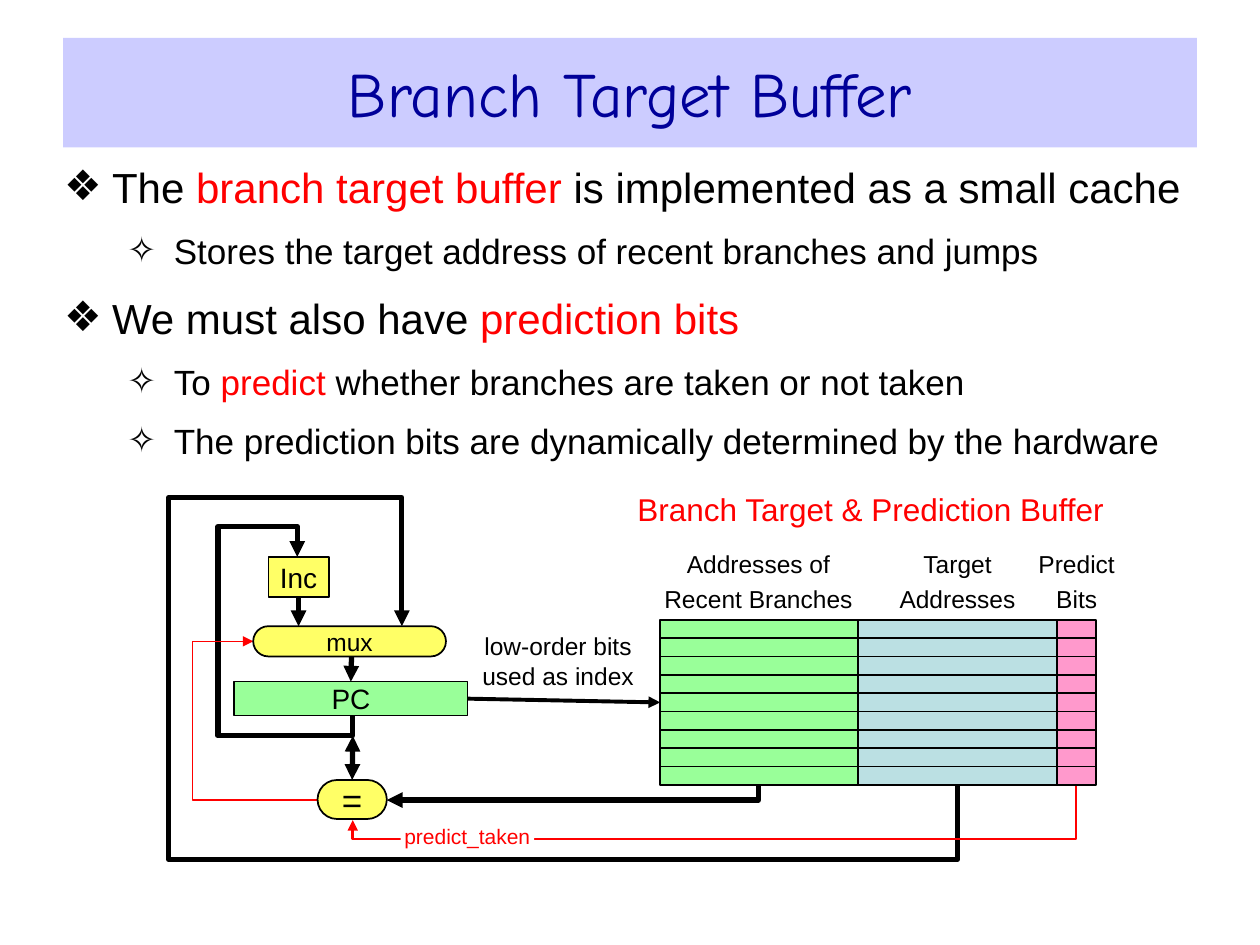
from itertools import accumulate
from lxml import etree
from pptx import Presentation
from pptx.dml.color import RGBColor
from pptx.enum.shapes import MSO_CONNECTOR, MSO_SHAPE
from pptx.enum.text import MSO_ANCHOR, MSO_AUTO_SIZE, PP_ALIGN
from pptx.oxml.ns import qn
from pptx.util import Inches, Pt

LINE = MSO_CONNECTOR.STRAIGHT
RECT, ROUND = MSO_SHAPE.RECTANGLE, MSO_SHAPE.ROUNDED_RECTANGLE
MIDDLE, TOP = MSO_ANCHOR.MIDDLE, MSO_ANCHOR.TOP
CENTER, LEFT = PP_ALIGN.CENTER, PP_ALIGN.LEFT
NO_FIT = MSO_AUTO_SIZE.NONE

THEME = {
    "font": "Arial", "head": "Comic Neue",
    "ink": "000000", "red": "FF0000", "navy": "000099", "band": "CCCCFF",
    "yellow": "FFFF66", "green": "99FF99", "blue": "BBE0E3",
    "pink": "FF99CC", "white": "FFFFFF",
    "title": 36, "part": 18, "label": 14, "note": 12,
}

# Content: list items are (level, [(text, colour), ...])
TITLE = "Branch Target Buffer"
ITEMS = [
    (0, [("The ", "ink"), ("branch target buffer", "red"),
         (" is implemented as a small cache", "ink")]),
    (1, [("Stores the target address of recent branches and jumps", "ink")]),
    (0, [("We must also have ", "ink"), ("prediction bits", "red")]),
    (1, [("To ", "ink"), ("predict ", "red"),
         ("whether branches are taken or not taken", "ink")]),
    (1, [("The prediction bits are dynamically determined by the hardware",
          "ink")]),
]
# Per level: left indent, hanging indent, space before, bullet, size
LEVELS = [(0.38, -0.38, 12, "❖", 24), (0.87, -0.37, 10, "✧", 20)]

# Blocks: text, preset, box, fill, size
BLOCKS = {
    "mux": ("mux", ROUND, (2.01, 4.97, 1.53, 0.24), "yellow", 14),
    "pc": ("PC", RECT, (1.86, 5.41, 1.85, 0.27), "green", 16),
    "inc": ("Inc", RECT, (2.13, 4.42, 0.48, 0.32), "yellow", 16),
    "equal": ("=", ROUND, (2.52, 6.19, 0.55, 0.31), "yellow", 20),
}
# Buffer columns: name, width, fill
COLUMNS = [("branch", 1.57, "green"), ("target", 1.58, "blue"),
           ("bits", 0.31, "pink")]
GRID_X, GRID_Y, GRID_H, ROWS = 5.24, 4.92, 1.31, 9

# Labels: lines, box, size, colour, line spacing
LABELS = [
    (["Branch Target & Prediction Buffer"], (4.96, 3.86, 3.9, 0.35),
     "part", "red", 1),
    (["Addresses of Recent Branches"], (5.24, 4.32, 1.56, 0.54),
     "label", "ink", 1.2),
    (["Target", "Addresses"], (6.85, 4.32, 1.5, 0.54), "label", "ink", 1.2),
    (["Predict", "Bits"], (8.19, 4.32, 0.71, 0.54), "label", "ink", 1.2),
    (["low-order bits used as index"], (3.78, 5.01, 1.3, 0.47),
     "label", "ink", 1),
]
# Bent arrows: points, colour, width
ROUTES = [
    ([(6.02, 6.19), (6.02, 6.35), (3.07, 6.35)], "ink", 3),
    ([(2.8, 5.68), (2.8, 5.84), (1.73, 5.84), (1.73, 4.18), (2.36, 4.18),
      (2.36, 4.42)], "ink", 3),
    ([(7.6, 6.23), (7.6, 6.82), (1.34, 6.82), (1.34, 3.95), (3.19, 3.95),
      (3.19, 4.97)], "ink", 3),
    ([(2.52, 6.35), (1.53, 6.35), (1.53, 5.09), (2.01, 5.09)], "red", 0.75),
    ([(8.54, 6.23), (8.54, 6.66), (2.8, 6.66), (2.8, 6.51)], "red", 1.5),
]
# Straight arrows: from, to, width, joined start, joined end, arrowheads
ARROWS = [
    ((2.79, 5.21), (2.79, 5.41), 3, None, ("pc", 0), ["tailEnd"]),
    ((2.37, 4.74), (2.37, 4.97), 3, ("inc", 2), None, ["tailEnd"]),
    ((3.71, 5.56), (5.24, 5.56), 2.25, ("pc", 3), ("branch", 1),
     ["tailEnd"]),
    ((2.8, 5.84), (2.8, 6.19), 3, None, ("equal", 0),
     ["headEnd", "tailEnd"]),
]


def rgb(name):
    return RGBColor.from_string(THEME[name])


def put(obj, vals):
    for key, val in vals.items():
        setattr(obj, key, val)


def place(shape, box):
    put(shape, dict(zip(("left", "top", "width", "height"),
                        map(Inches, box))))


def paint(shape, name):
    shape.fill.solid()
    shape.fill.fore_color.rgb = rgb(name)


def stroke(shape, name, width, ends=()):
    shape.line.color.rgb = rgb(name)
    shape.line.width = Pt(width)
    ln = shape.line._get_or_add_ln()
    for end in ends:
        etree.SubElement(ln, qn("a:" + end), type="triangle")


def frame(shape, anchor=MIDDLE, side=0, edge=0):
    text = shape.text_frame
    put(text, {"word_wrap": True, "auto_size": NO_FIT,
               "vertical_anchor": anchor,
               "margin_left": Inches(side), "margin_right": Inches(side),
               "margin_top": Inches(edge), "margin_bottom": Inches(edge)})
    return text


def add_run(para, text, size, color="ink", font="font"):
    run = para.add_run()
    run.text = text
    put(run.font, {"name": THEME[font], "size": Pt(size), "bold": False})
    run.font.color.rgb = rgb(color)


def write(shape, lines, size, color="ink", space=1):
    text = frame(shape)
    for i, line in enumerate(lines):
        para = text.add_paragraph() if i else text.paragraphs[0]
        put(para, {"alignment": CENTER, "line_spacing": space})
        add_run(para, line, size, color)


def add_box(shapes, kind, box, fill):
    shape = shapes.add_shape(kind, *map(Inches, box))
    shape.shadow.inherit = False
    if kind == ROUND:
        shape.adjustments[0] = 0.5
    paint(shape, fill)
    return shape


def add_line(shapes, start, end, width, ends=()):
    line = shapes.add_connector(LINE, *map(Inches, start + end))
    etree.SubElement(line._element.spPr, qn("a:effectLst"))
    stroke(line, "ink", width, ends)
    return line


def add_list(body):
    place(body, (0.51, 1.23, 8.98, 2.69))
    text = frame(body, TOP, 0, 0.05)
    for i, (level, runs) in enumerate(ITEMS):
        left, hang, gap, mark, size = LEVELS[level]
        para = text.add_paragraph() if i else text.paragraphs[0]
        props = para._p.get_or_add_pPr()
        props.set("marL", str(Inches(left)))
        props.set("indent", str(Inches(hang)))
        tint = etree.SubElement(props, qn("a:buClr"))
        etree.SubElement(tint, qn("a:srgbClr"), val=THEME["ink"])
        etree.SubElement(props, qn("a:buChar"), char=mark)
        put(para, {"level": level, "alignment": LEFT,
                   "space_before": Pt(gap if i else 0)})
        for words, color in runs:
            add_run(para, words, size, color)


def main():
    deck = Presentation()
    put(deck, {"slide_width": Inches(10), "slide_height": Inches(7.5)})
    slide = deck.slides.add_slide(deck.slide_layouts[1])
    shapes = slide.shapes

    # Title and list
    title = shapes.title
    place(title, (0.5, 0.3, 9, 0.87))
    paint(title, "band")
    para = frame(title, MIDDLE, 0.1, 0.05).paragraphs[0]
    para.alignment = CENTER
    add_run(para, TITLE, THEME["title"], "navy", "head")
    add_list(slide.placeholders[1])

    # Bent arrows, under the blocks
    for points, color, width in ROUTES:
        spots = [(Inches(x), Inches(y)) for x, y in points]
        pen = shapes.build_freeform(*spots[0])
        pen.add_line_segments(spots[1:], close=False)
        route = pen.convert_to_shape()
        route.shadow.inherit = False
        route.fill.background()
        stroke(route, color, width, ["tailEnd"])

    # Blocks
    parts = {}
    for name, (text, kind, box, fill, size) in BLOCKS.items():
        parts[name] = add_box(shapes, kind, box, fill)
        stroke(parts[name], "ink", 1)
        write(parts[name], [text], size)

    # Buffer columns and their row lines
    rights = accumulate((col[1] for col in COLUMNS), initial=GRID_X)
    for left, (name, width, fill) in zip(rights, COLUMNS):
        box = (left, GRID_Y, width, GRID_H)
        parts[name] = add_box(shapes, RECT, box, fill)
        stroke(parts[name], "ink", 1)
        for row in range(1, ROWS):
            y = GRID_Y + row * GRID_H / ROWS
            add_line(shapes, (left, y), (left + width, y), 1)

    # Straight arrows
    for start, end, width, tie, goal, ends in ARROWS:
        line = add_line(shapes, start, end, width, ends)
        if tie:
            line.begin_connect(parts[tie[0]], tie[1])
        if goal:
            line.end_connect(parts[goal[0]], goal[1])

    # Labels
    for lines, box, size, color, space in LABELS:
        label = shapes.add_textbox(*map(Inches, box))
        write(label, lines, THEME[size], color, space)
    note = add_box(shapes, RECT, (3.18, 6.52, 1.06, 0.24), "white")
    note.line.fill.background()
    write(note, ["predict_taken"], THEME["note"], "red")

    deck.save("out.pptx")


if __name__ == "__main__":
    main()
